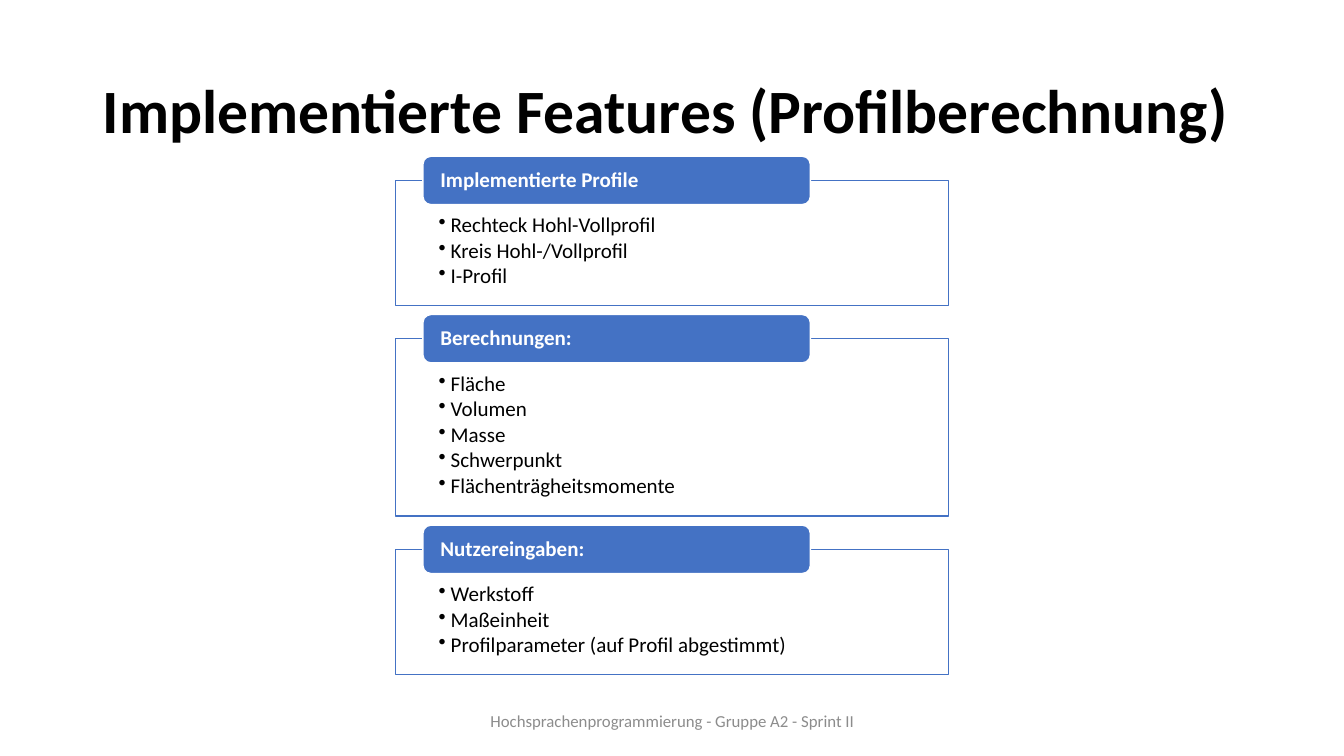
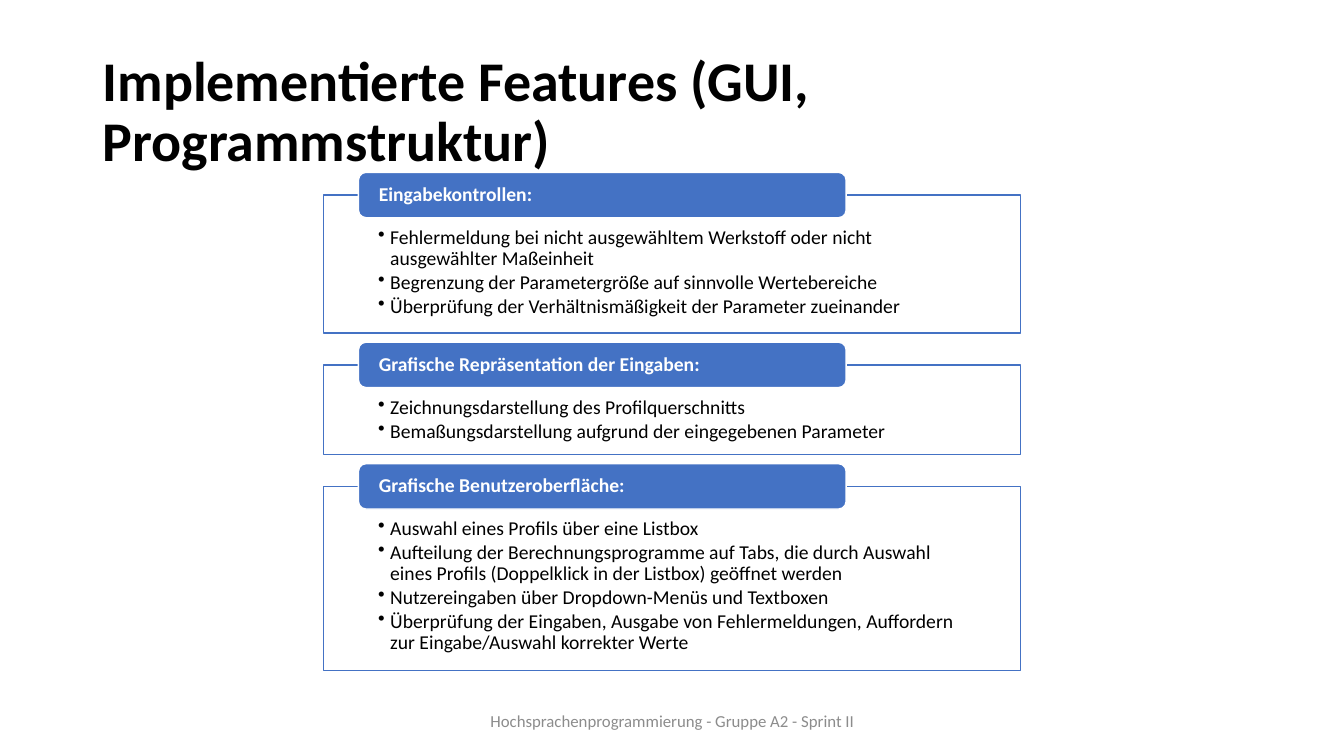
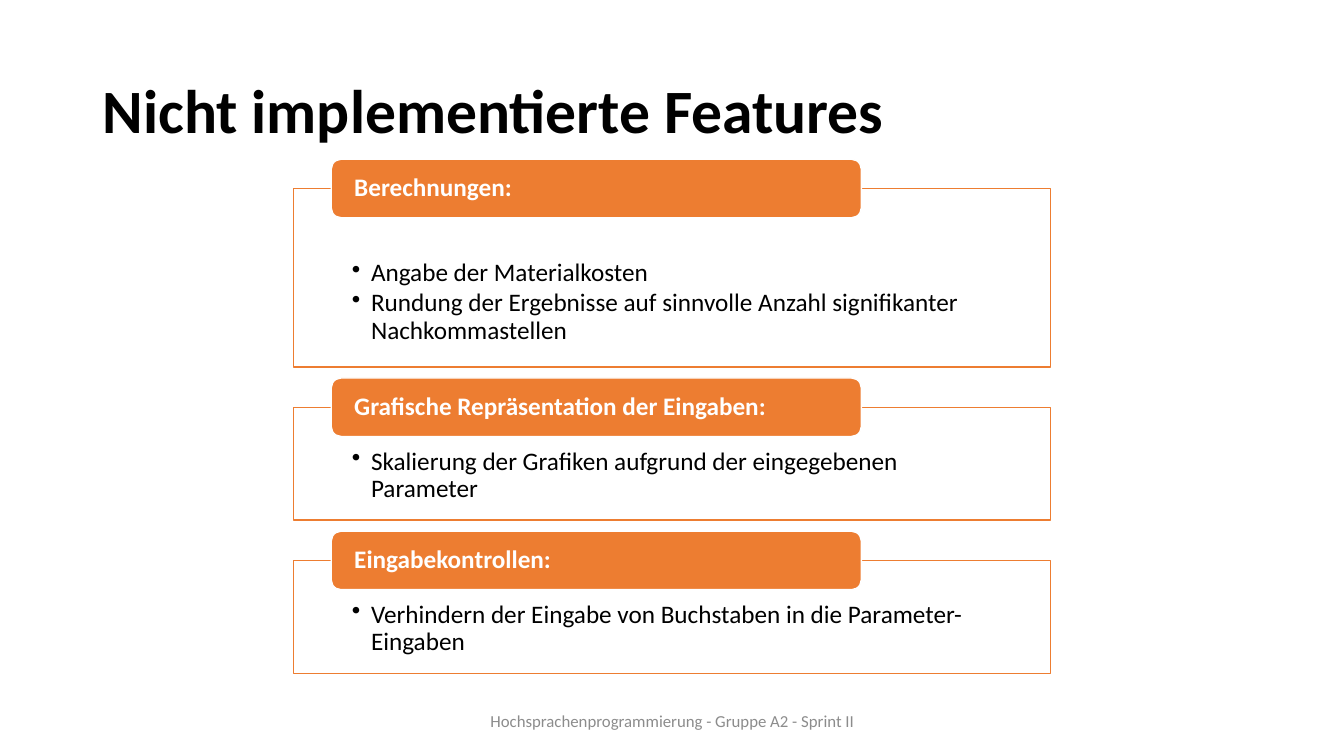
from dataclasses import dataclass

import pptx
import pptx.dml.color
import pptx.enum.shapes
import pptx.enum.text
import pptx.oxml
import pptx.oxml.ns
import pptx.util
from lxml import etree

Inches = pptx.util.Inches
Pt = pptx.util.Pt
Align = pptx.enum.text.PP_ALIGN
Anchor = pptx.enum.text.MSO_ANCHOR
Preset = pptx.enum.shapes.MSO_SHAPE


@dataclass(frozen=True)
class Theme:
    font: str = "Calibri"
    white: str = "FFFFFF"
    black: str = "000000"
    gray: str = "8C8C8C"
    blue: str = "4472C4"
    orange: str = "ED7D31"
    title_size: int = 44
    small_title_size: int = 40
    footer_size: int = 12
    line_spacing: float = 0.9
    title_box: tuple = (0.92, 0.4, 11.5, 1.45)
    footer_box: tuple = (4.42, 6.95, 4.5, 0.4)


@dataclass(frozen=True)
class PanelStyle:
    """Measures shared by the panels of one slide, in inches and points."""
    color: str
    size: int
    tab_height: float
    gap: float
    tab_inset: float
    frame_insets: tuple
    indent: float


THEME = Theme()
FOOTER = "Hochsprachenprogrammierung - Gruppe A2 - Sprint II"


def rgb(color):
    return pptx.dml.color.RGBColor.from_string(color)


def write_text(shape, text, size, color=THEME.black, bold=False, align=Align.LEFT,
               anchor=Anchor.MIDDLE, insets=(0.1, 0.05, 0.1, 0.05),
               line_spacing=THEME.line_spacing, space_after=0, bullet_indent=None):
    """Write a string, or a list with one string for each paragraph."""
    frame = shape.text_frame
    frame.word_wrap = True
    frame.vertical_anchor = anchor
    (frame.margin_left, frame.margin_top,
     frame.margin_right, frame.margin_bottom) = map(Inches, insets)
    lines = [text] if isinstance(text, str) else text
    for index, line in enumerate(lines):
        paragraph = frame.add_paragraph() if index else frame.paragraphs[0]
        paragraph.alignment = align
        paragraph.line_spacing = line_spacing
        paragraph.space_after = Pt(space_after)
        if bullet_indent:
            add_bullet(paragraph, bullet_indent)
        run = paragraph.add_run()
        run.text = line
        run.font.name = THEME.font
        run.font.size = Pt(size)
        run.font.bold = bold
        run.font.color.rgb = rgb(color)


def add_bullet(paragraph, indent):
    properties = paragraph._p.get_or_add_pPr()
    properties.set("marL", str(Inches(indent)))
    properties.set("indent", str(-Inches(indent)))
    bullet = etree.SubElement(properties, pptx.oxml.ns.qn("a:buChar"))
    bullet.set("char", "•")


def add_text_box(slide, box, text, **text_format):
    write_text(slide.shapes.add_textbox(*map(Inches, box)), text, **text_format)


def add_box(slide, preset, box, fill, line, opacity=100):
    shape = slide.shapes.add_shape(preset, *map(Inches, box))
    shape.shadow.inherit = False
    shape.fill.solid()
    shape.fill.fore_color.rgb = rgb(fill)
    shape.line.color.rgb = rgb(line)
    shape.line.width = Pt(1)
    if opacity < 100:
        color = shape._element.spPr.find(".//" + pptx.oxml.ns.qn("a:srgbClr"))
        alpha = etree.SubElement(color, pptx.oxml.ns.qn("a:alpha"))
        alpha.set("val", str(opacity * 1000))
    return shape


def add_panel(slide, box, heading, items, style, extra_top=0):
    """Place a bulleted frame, with a heading tab across its top edge."""
    left, top, width, height = box

    # Frame with list
    frame = add_box(slide, Preset.RECTANGLE,
                    (left, top + style.tab_height / 2, width, height - style.tab_height / 2),
                    THEME.white, style.color, opacity=90)
    side, upper, lower = style.frame_insets
    write_text(frame, items, style.size, anchor=Anchor.TOP,
               insets=(side, upper + extra_top, side, lower),
               space_after=2, bullet_indent=style.indent)

    # Heading tab
    tab = add_box(slide, Preset.ROUNDED_RECTANGLE,
                  (left + 0.05 * width, top, 0.7 * width, style.tab_height),
                  style.color, THEME.white)
    write_text(tab, heading, style.size, color=THEME.white, bold=True,
               insets=(style.tab_inset, 0, style.tab_inset, 0))


def add_panel_stack(slide, left, top, width, panels, style):
    """Stack panels given as (frame height, heading, items[, extra top space])."""
    for frame_height, heading, items, *extra in panels:
        height = frame_height + style.tab_height / 2
        add_panel(slide, (left, top, width, height), heading, items, style, *extra)
        top += height + style.gap


def add_feature_slide(presentation, title, stack_box, panels, style,
                      title_size=THEME.title_size):
    slide = presentation.slides.add_slide(presentation.slide_layouts[6])
    add_text_box(slide, THEME.title_box, title, size=title_size, bold=True)
    add_panel_stack(slide, *stack_box, panels, style)
    add_text_box(slide, THEME.footer_box, FOOTER, size=THEME.footer_size,
                 color=THEME.gray, align=Align.CENTER, line_spacing=1.0)


def main():
    presentation = pptx.Presentation()
    presentation.slide_width = Inches(13.33)
    presentation.slide_height = Inches(7.5)

    # Profile calculation
    add_feature_slide(
        presentation, "Implementierte Features (Profilberechnung)", (3.92, 1.55, 5.49),
        [
            (1.24, "Implementierte Profile",
             ["Rechteck Hohl-Vollprofil", "Kreis Hohl-/Vollprofil", "I-Profil"]),
            (1.76, "Berechnungen:",
             ["Fläche", "Volumen", "Masse", "Schwerpunkt", "Flächenträgheitsmomente"]),
            (1.24, "Nutzereingaben:",
             ["Werkstoff", "Maßeinheit", "Profilparameter (auf Profil abgestimmt)"]),
        ],
        PanelStyle(THEME.blue, 15, 0.48, 0.09, 0.15, (0.43, 0.34, 0.12), 0.12))

    # Interface and program structure
    add_feature_slide(
        presentation, "Implementierte Features (GUI, Programmstruktur)", (3.21, 1.71, 6.91),
        [
            (1.37, "Eingabekontrollen:",
             ["Fehlermeldung bei nicht ausgewähltem Werkstoff oder nicht "
              "ausgewählter Maßeinheit",
              "Begrenzung der Parametergröße auf sinnvolle Wertebereiche",
              "Überprüfung der Verhältnismäßigkeit der Parameter zueinander"]),
            (0.89, "Grafische Repräsentation der Eingaben:",
             ["Zeichnungsdarstellung des Profilquerschnitts",
              "Bemaßungsdarstellung aufgrund der eingegebenen Parameter"]),
            (1.83, "Grafische Benutzeroberfläche:",
             ["Auswahl eines Profils über eine Listbox",
              "Aufteilung der Berechnungsprogramme auf Tabs, die durch Auswahl "
              "eines Profils (Doppelklick in der Listbox) geöffnet werden",
              "Nutzereingaben über Dropdown-Menüs und Textboxen",
              "Überprüfung der Eingaben, Ausgabe von Fehlermeldungen, Auffordern "
              "zur Eingabe/Auswahl korrekter Werte"]),
        ],
        PanelStyle(THEME.blue, 14, 0.45, 0.09, 0.18, (0.54, 0.32, 0.11), 0.12),
        title_size=THEME.small_title_size)

    # Features left out
    add_feature_slide(
        presentation, "Nicht implementierte Features", (2.91, 1.58, 7.51),
        [
            (1.77, "Berechnungen:",
             ["Angabe der Materialkosten",
              "Rundung der Ergebnisse auf sinnvolle Anzahl signifikanter "
              "Nachkommastellen"], 0.3),
            (1.12, "Grafische Repräsentation der Eingaben:",
             ["Skalierung der Grafiken aufgrund der eingegebenen Parameter"]),
            (1.12, "Eingabekontrollen:",
             ["Verhindern der Eingabe von Buchstaben in die Parameter-Eingaben"]),
        ],
        PanelStyle(THEME.orange, 18, 0.58, 0.11, 0.2, (0.58, 0.41, 0.14), 0.19))

    presentation.save("out.pptx")


if __name__ == "__main__":
    main()
